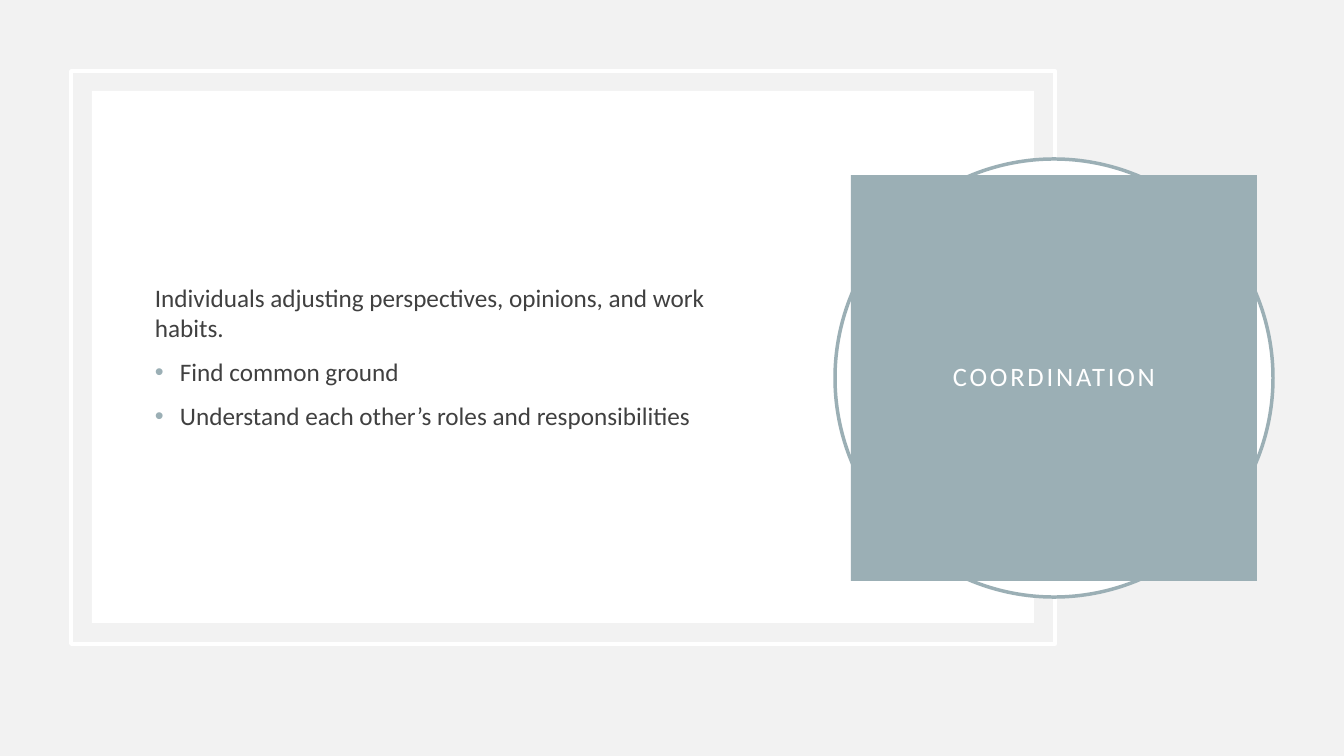
from lxml import etree
from pptx import Presentation, util as u
from pptx.dml.color import RGBColor
from pptx.enum import shapes, text
from pptx.oxml.ns import qn

# Content
TITLE = "COORDINATION"
INTRO = "Individuals adjusting perspectives, opinions, and work habits."
BULLETS = ["Find common ground", "Understand each other’s roles and responsibilities"]


class Theme:
    font = "Calibri"
    background = "F2F2F2"
    white = "FFFFFF"
    accent = "9BAFB5"
    body_color = "404040"
    body_size, title_size = 18, 19
    line_width = 2.5
    paragraph_gap = 10
    title_tracking = 2


# Layout in px: left, top, width, height
SLIDE_WIDTH, SLIDE_HEIGHT = 1344, 756
EMU_PER_PX = 12192000 / SLIDE_WIDTH
FRAME = (71, 71, 984, 573)
PANEL = (92, 91, 942, 532)
BODY = (145, 141, 630, 431)
BADGE_CENTER = (1054, 378)
RING_SIZE, BADGE_SIZE = 438, 406
BADGE_INSET = 20
BULLET_INDENT = 25


def px(value):
    return u.Emu(round(value * EMU_PER_PX))


def centered(size):
    x, y = BADGE_CENTER
    return x - size // 2, y - size // 2, size, size


def color(value):
    return RGBColor.from_string(value)


def add_shape(slide, kind, box, fill=None, line=None):
    shape = slide.shapes.add_shape(kind, *map(px, box))
    shape.shadow.inherit = False
    if fill:
        shape.fill.solid()
        shape.fill.fore_color.rgb = color(fill)
    else:
        shape.fill.background()
    if line:
        shape.line.color.rgb = color(line)
        shape.line.width = u.Pt(Theme.line_width)
    else:
        shape.line.fill.background()
    return shape


def add_bullet(paragraph):
    properties = paragraph._p.get_or_add_pPr()
    properties.set("marL", str(px(BULLET_INDENT)))
    properties.set("indent", str(-px(BULLET_INDENT)))
    bullet_color = etree.SubElement(properties, qn("a:buClr"))
    etree.SubElement(bullet_color, qn("a:srgbClr"), val=Theme.accent)
    etree.SubElement(properties, qn("a:buFont"), typeface="Arial")
    etree.SubElement(properties, qn("a:buChar"), char="•")


def format_runs(paragraph, size, value):
    for run in paragraph.runs:
        run.font.name = Theme.font
        run.font.size = u.Pt(size)
        run.font.color.rgb = color(value)


def add_body(slide):
    frame = slide.shapes.add_textbox(*map(px, BODY)).text_frame
    frame.word_wrap = True
    frame.vertical_anchor = text.MSO_ANCHOR.MIDDLE
    frame.text = "\n".join([INTRO, *BULLETS])
    for index, paragraph in enumerate(frame.paragraphs):
        if index:
            paragraph.space_before = u.Pt(Theme.paragraph_gap)
            add_bullet(paragraph)
        format_runs(paragraph, Theme.body_size, Theme.body_color)


def add_title(shape):
    frame = shape.text_frame
    frame.word_wrap = True
    frame.vertical_anchor = text.MSO_ANCHOR.MIDDLE
    frame.margin_left = frame.margin_right = px(BADGE_INSET)
    frame.margin_top = frame.margin_bottom = px(BADGE_INSET)
    frame.text = TITLE
    paragraph = frame.paragraphs[0]
    paragraph.alignment = text.PP_ALIGN.CENTER
    paragraph.line_spacing = 0.9
    format_runs(paragraph, Theme.title_size, Theme.white)
    run_properties = paragraph.runs[0]._r.get_or_add_rPr()
    run_properties.set("spc", str(Theme.title_tracking * 100))


def main():
    presentation = Presentation()
    presentation.slide_width = px(SLIDE_WIDTH)
    presentation.slide_height = px(SLIDE_HEIGHT)
    slide = presentation.slides.add_slide(presentation.slide_layouts[6])
    slide.background.fill.solid()
    slide.background.fill.fore_color.rgb = color(Theme.background)

    # White panel inside an outlined frame
    rectangle, oval = shapes.MSO_SHAPE.RECTANGLE, shapes.MSO_SHAPE.OVAL
    add_shape(slide, rectangle, FRAME, line=Theme.white)
    add_shape(slide, rectangle, PANEL, fill=Theme.white)
    add_body(slide)

    # Title badge over its ring
    add_shape(slide, oval, centered(RING_SIZE), Theme.white, Theme.accent)
    add_title(add_shape(slide, rectangle, centered(BADGE_SIZE), Theme.accent))

    presentation.save("out.pptx")


if __name__ == "__main__":
    main()
